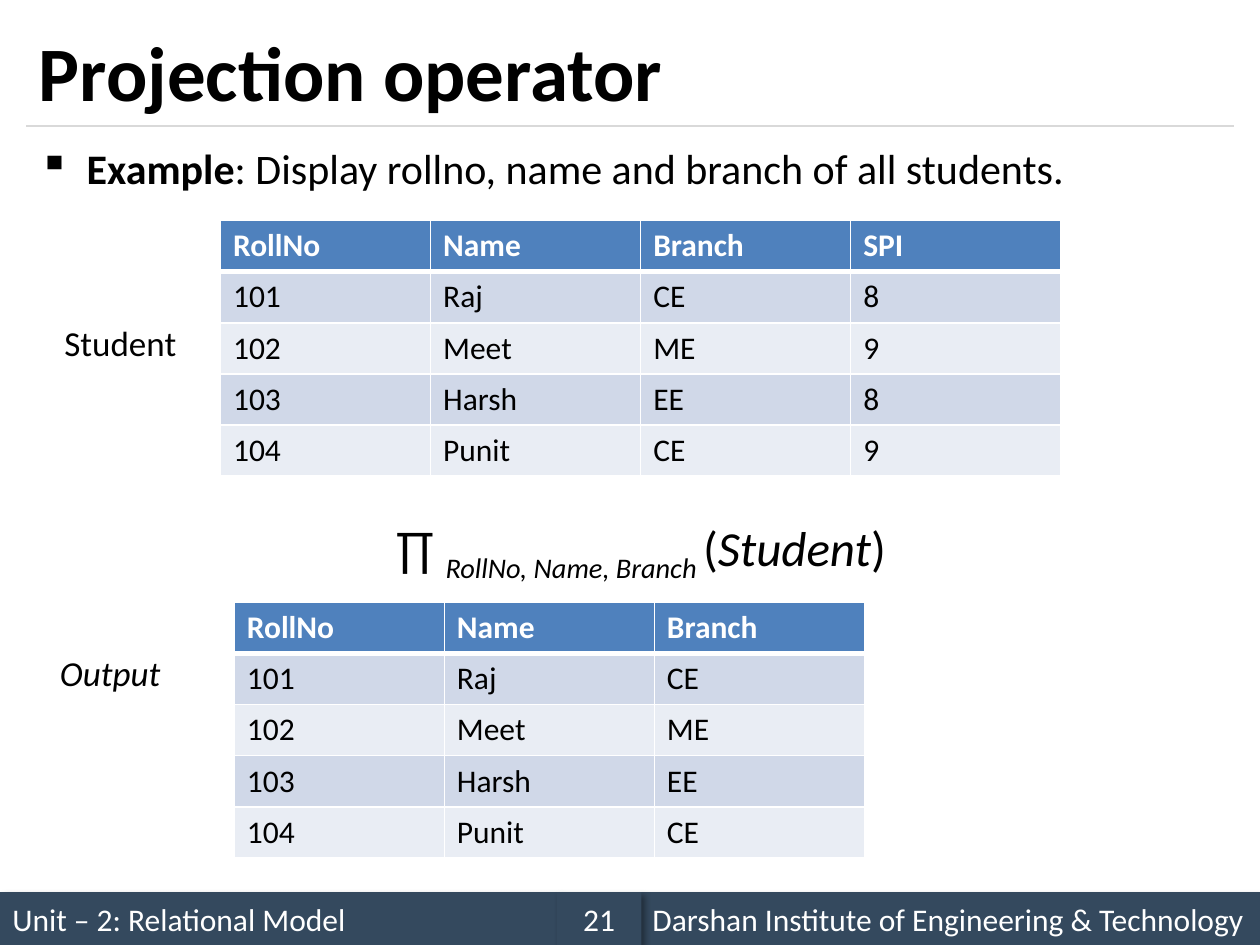
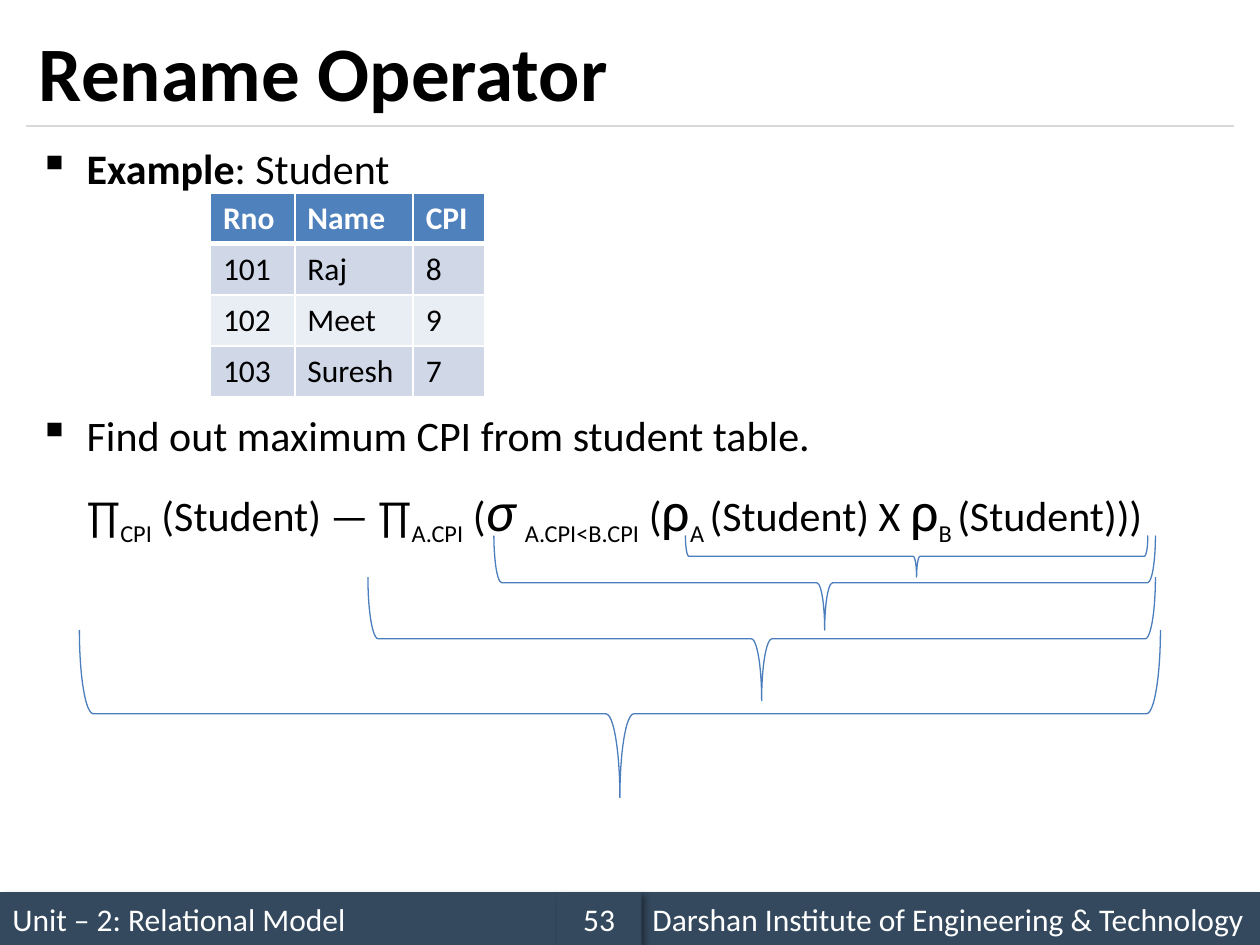
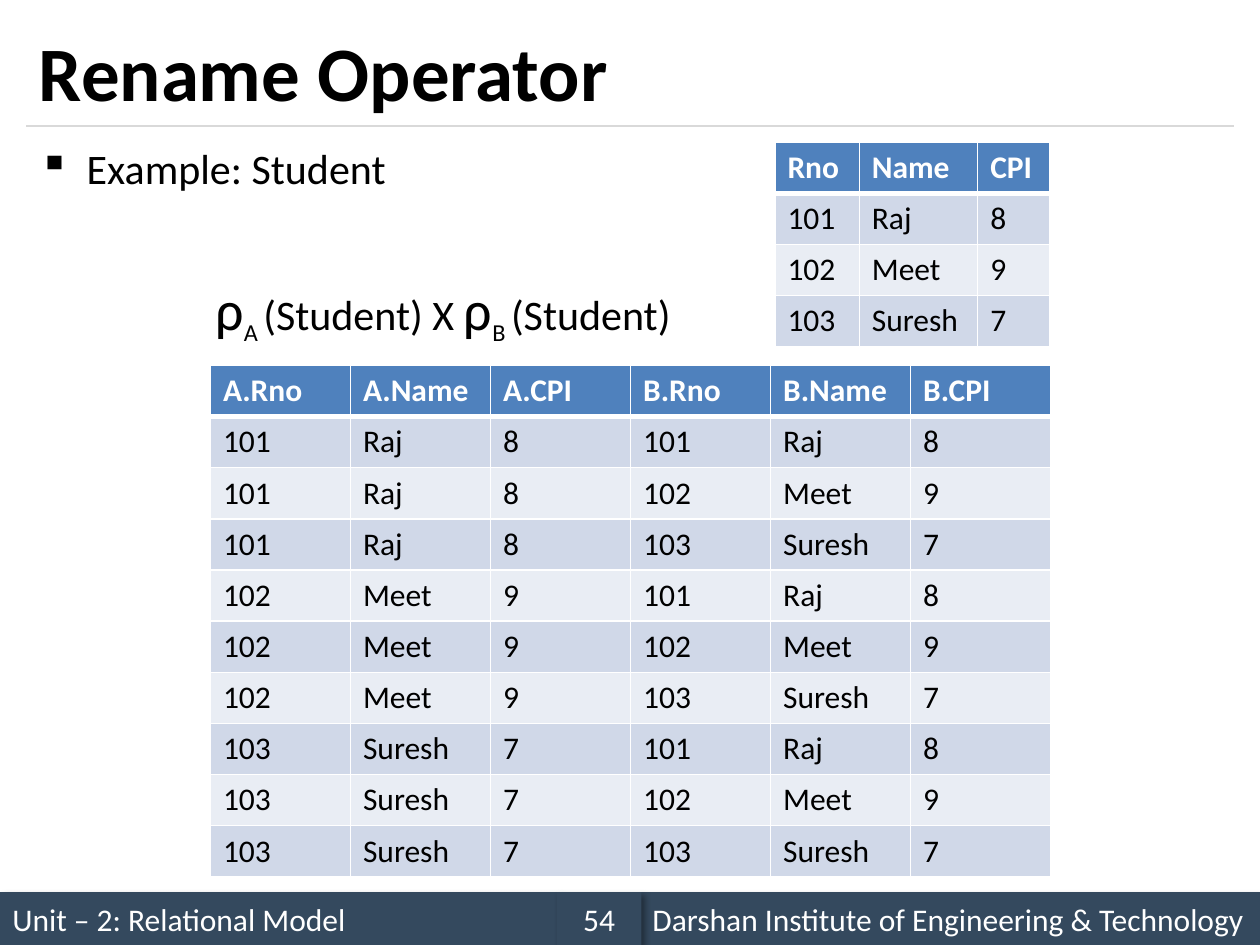
from dataclasses import dataclass
from itertools import product

from pptx import Presentation
from pptx.dml.color import RGBColor as Rgb
from pptx.enum.shapes import MSO_CONNECTOR as Connector, MSO_SHAPE as Preset
from pptx.enum.text import MSO_ANCHOR as Anchor, PP_ALIGN as Align
from pptx.oxml.ns import qn
from pptx.util import Inches, Pt
from lxml.etree import SubElement


@dataclass(frozen=True)
class Theme:
    font: str = "Calibri"
    ink: str = "000000"
    white: str = "FFFFFF"
    bar: str = "34495E"
    rule: str = "D9D9D9"
    brace: str = "4B7EBC"
    header: str = "4F81BD"
    bands: tuple = ("D0D8E8", "E9EDF4")
    title: int = 44
    greek: int = 32
    formula: int = 28
    body: int = 24
    label: int = 20
    small: int = 18
    gap: int = 9


THEME = Theme()
CONTENT = (0.21, 1.08, 9.58, 5.83)
HANG = 0.38
UNIT = "Unit – 2: Relational Model"
INSTITUTE = "Darshan Institute of Engineering & Technology"

BRANCH_ROWS = [
    ("RollNo", "Name", "Branch", "SPI"),
    ("101", "Raj", "CE", "8"),
    ("102", "Meet", "ME", "9"),
    ("103", "Harsh", "EE", "8"),
    ("104", "Punit", "CE", "9"),
]
CPI_HEADER = ("Rno", "Name", "CPI")
CPI_STUDENTS = [("101", "Raj", "8"), ("102", "Meet", "9"), ("103", "Suresh", "7")]
CPI_ROWS = [CPI_HEADER] + CPI_STUDENTS
CPI_WIDTHS = (0.67, 0.94, 0.57)

SUB = {"baseline": -25}
GREEK = {"size": THEME.greek}
RENAMED_PRODUCT = [
    ("ρ", GREEK), ("A ", SUB), ("(Student) X ", {}),
    ("ρ", GREEK), ("B ", SUB), ("(Student)", {}),
]


def write(para, text, size=THEME.body, color=THEME.ink, bold=False, italic=False, baseline=0):
    span = para.add_run()
    span.text = text
    font = span.font
    font.name, font.size, font.bold, font.italic = THEME.font, Pt(size), bold, italic
    font.color.rgb = Rgb.from_string(color)
    if baseline:
        span._r.get_or_add_rPr().set("baseline", str(baseline * 1000))


def write_spans(para, spans, **common):
    for text, changes in spans:
        write(para, text, **{**common, **changes})


def text_box(page, at, anchor=Anchor.TOP):
    frame = page.shapes.add_textbox(*map(Inches, at)).text_frame
    frame.word_wrap = True
    frame.vertical_anchor = anchor
    return frame


def centred_text(page, at, spans, **common):
    para = text_box(page, at).paragraphs[0]
    para.alignment = Align.CENTER
    write_spans(para, spans, **common)


def body_text(page, items):
    frame = text_box(page, CONTENT)
    for index, (spans, before, left, bullet) in enumerate(items):
        para = frame.paragraphs[0] if index == 0 else frame.add_paragraph()
        para.space_before = Pt(before)
        props = para._p.get_or_add_pPr()
        props.set("marL", str(Inches(left)))
        props.set("indent", str(Inches(-left if bullet else 0)))
        if bullet:
            SubElement(props, qn("a:buChar"), char="▪")
        write_spans(para, spans)


def bullet_item(*spans, before=0):
    return spans, before, HANG, True


def formula_item(spans, before, left):
    return spans, before, left, False


def add_shadow(shape):
    shape.shadow.inherit = False
    effects = shape._element.spPr.find(qn("a:effectLst"))
    shadow = SubElement(effects, qn("a:outerShdw"), blurRad=str(Pt(4)), dist=str(Pt(3)),
                        dir="2700000", algn="tl", rotWithShape="0")
    color = SubElement(shadow, qn("a:srgbClr"), val=THEME.ink)
    SubElement(color, qn("a:alpha"), val="40000")


def footer_bar(page, left, width, text, align):
    bar = page.shapes.add_shape(Preset.RECTANGLE, *map(Inches, (left, 7.08, width, 0.42)))
    bar.fill.solid()
    bar.fill.fore_color.rgb = Rgb.from_string(THEME.bar)
    bar.line.fill.background()
    add_shadow(bar)
    bar.text_frame.word_wrap = True
    bar.text_frame.vertical_anchor = Anchor.MIDDLE
    para = bar.text_frame.paragraphs[0]
    para.alignment = align
    write(para, text, size=THEME.small, color=THEME.white)


def base_page(deck, title, number):
    page = deck.slides.add_slide(deck.slide_layouts[6])
    footer_bar(page, 0, 4.42, UNIT, Align.LEFT)
    footer_bar(page, 5.08, 4.92, INSTITUTE, Align.LEFT)
    footer_bar(page, 4.42, 0.67, str(number), Align.CENTER)
    rule = page.shapes.add_connector(Connector.STRAIGHT, *map(Inches, (0.21, 1, 9.79, 1)))
    rule.line.color.rgb = Rgb.from_string(THEME.rule)
    rule.line.width = Pt(0.75)
    SubElement(rule._element.spPr, qn("a:effectLst"))
    frame = text_box(page, (0.21, 0.12, 9.58, 0.88), Anchor.MIDDLE)
    write(frame.paragraphs[0], title, size=THEME.title, bold=True)
    return page


def cell_borders(cell, top=1, bottom=1):
    props = cell._tc.get_or_add_tcPr()
    for side, width in (("L", 1), ("R", 1), ("T", top), ("B", bottom)):
        edge = SubElement(props, qn(f"a:ln{side}"), w=str(Pt(width)))
        fill = SubElement(edge, qn("a:solidFill"))
        SubElement(fill, qn("a:srgbClr"), val=THEME.white)


def data_table(page, at, rows, widths=None):
    left, top, width, height = map(Inches, at)
    widths = widths or [1] * len(rows[0])
    table = page.shapes.add_table(len(rows), len(widths), left, top, width, height).table
    for column, share in zip(table.columns, widths):
        column.width = int(width * share / sum(widths))
    for r, values in enumerate(rows):
        table.rows[r].height = height // len(rows)
        header = r == 0
        fill = THEME.header if header else THEME.bands[(r - 1) % 2]
        for c, value in enumerate(values):
            cell = table.cell(r, c)
            cell_borders(cell, top=3 if r == 1 else 1, bottom=3 if header else 1)
            cell.fill.solid()
            cell.fill.fore_color.rgb = Rgb.from_string(fill)
            write(cell.text_frame.paragraphs[0], value, size=THEME.small, bold=header,
                  color=THEME.white if header else THEME.ink)


def under_brace(page, left, top, width, height):
    frame = (left + (width - height) / 2, top + (height - width) / 2, height, width)
    brace = page.shapes.add_shape(Preset.LEFT_BRACE, *map(Inches, frame))
    brace.rotation = 270
    brace.shadow.inherit = False
    brace.fill.background()
    brace.line.color.rgb = Rgb.from_string(THEME.brace)
    brace.line.width = Pt(0.75)


def projection_page(deck):
    page = base_page(deck, "Projection operator", 21)
    body_text(page, [bullet_item(
        ("Example", {"bold": True}),
        (": Display rollno, name and branch of all students.", {}))])
    data_table(page, (1.75, 1.75, 6.67, 2.03), BRANCH_ROWS)
    centred_text(page, (1.67, 4.06, 6.83, 0.57), [
        ("∏ ", {}), ("RollNo, Name, Branch ", {"italic": True, **SUB}),
        ("(", {}), ("Student", {"italic": True}), (")", {}),
    ], size=THEME.formula)
    centred_text(page, (0.25, 5.12, 1.25, 0.44), [("Output", {"italic": True})], size=THEME.label)
    data_table(page, (1.86, 4.78, 5, 2.03), [row[:3] for row in BRANCH_ROWS])
    centred_text(page, (0.33, 2.5, 1.25, 0.44), [("Student", {})], size=THEME.label)


def maximum_page(deck):
    page = base_page(deck, "Rename Operator", 53)
    formula = [
        ("∏", {}), ("CPI", SUB), (" (Student) — ∏", {}), ("A.CPI", SUB), (" (", {}),
        ("σ", {"italic": True, **GREEK}), (" ", {}), ("A.CPI<B.CPI", SUB), (" (", {}),
        *RENAMED_PRODUCT, ("))", {}),
    ]
    body_text(page, [
        bullet_item(("Example", {"bold": True}), (": Student", {})),
        bullet_item(("Find out maximum CPI from student table.", {}), before=124),
        formula_item(formula, THEME.gap, HANG),
    ])
    data_table(page, (1.67, 1.53, 2.18, 1.62), CPI_ROWS, CPI_WIDTHS)
    for brace in ((5.44, 4.25, 3.67, 0.33), (3.92, 4.25, 5.25, 0.75),
                  (2.92, 4.58, 6.25, 0.98), (0.63, 5, 8.58, 1.33)):
        under_brace(page, *brace)


def product_page(deck):
    page = base_page(deck, "Rename Operator", 54)
    body_text(page, [
        bullet_item(("Example: Student", {})),
        formula_item(RENAMED_PRODUCT, 47, 1.4),
    ])
    data_table(page, (6.15, 1.13, 2.18, 1.62), CPI_ROWS, CPI_WIDTHS)
    header = tuple(f"{alias}.{name}" for alias, name in product("AB", CPI_HEADER))
    pairs = [first + second for first, second in product(CPI_STUDENTS, repeat=2)]
    data_table(page, (1.67, 2.9, 6.67, 4.06), [header] + pairs)


def main():
    deck = Presentation()
    deck.slide_width, deck.slide_height = Inches(10), Inches(7.5)
    projection_page(deck)
    maximum_page(deck)
    product_page(deck)
    deck.save("out.pptx")


if __name__ == "__main__":
    main()
